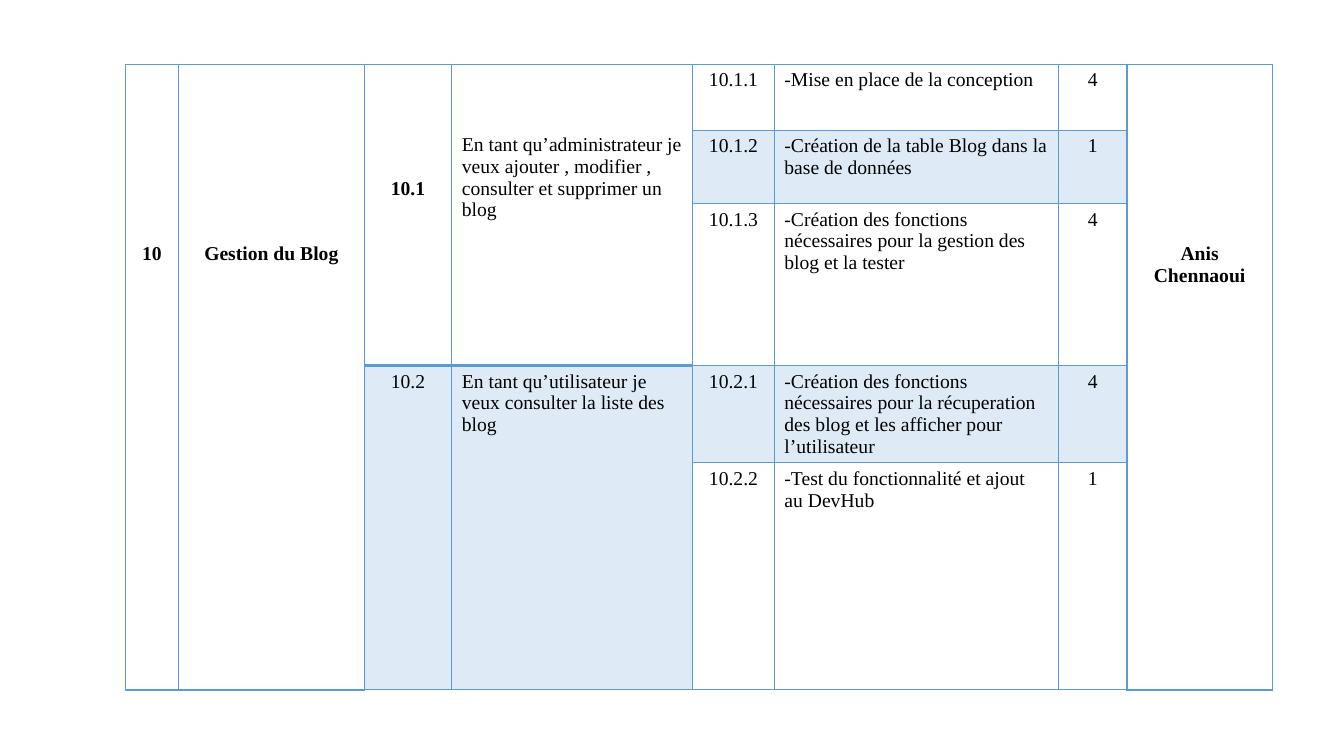
from dataclasses import dataclass

from pptx import Presentation
from pptx import util as u
from pptx.dml.color import RGBColor
from pptx.enum import text
from pptx.oxml import parse_xml
from pptx.oxml.ns import nsdecls


@dataclass(frozen=True)
class Theme:
    """Colours, type and line sizes of the slide."""
    ink: str = "000000"
    line: str = "5B9BD5"
    band: str = "DEEBF7"
    paper: str = "FFFFFF"
    font: str = "Times New Roman"
    size: float = 14
    line_height: float = 15.5
    thin: float = 1
    thick: float = 2


THEME = Theme()
BOX = (89.5, 46, 820, 446.5)
COLUMNS = [38.16, 132.48, 62.64, 172.08, 58.32, 203.04, 48.96, 103.68]
ROWS = [47, 52.5, 115.5, 69.5, 162]
LEFT_ALIGNED = (3, 5)
MARGIN = 3.6

STORIES = [
    dict(row=0, column=0, rows=5, words="10", lead=8, bold=True, thick="B"),
    dict(row=0, column=1, rows=5, words="Gestion du Blog", lead=8, bold=True, thick="B"),
    dict(row=0, column=2, rows=3, words="10.1", lead=5, bold=True, thick="B"),
    dict(row=0, column=3, rows=3, lead=3, thick="B",
         words="En tant qu’administrateur je veux ajouter , modifier , consulter et supprimer un blog"),
    dict(row=0, column=7, rows=5, words="Anis Chennaoui", lead=8, bold=True, thick="B"),
    dict(row=3, column=2, rows=2, words="10.2", thick="T"),
    dict(row=3, column=3, rows=2, thick="T",
         words="En tant qu’utilisateur je veux consulter la liste des blog"),
]
TASKS = [
    ("10.1.1", "-Mise en place de la conception", "4"),
    ("10.1.2", "-Création de la table Blog dans la base de données", "1"),
    ("10.1.3", "-Création des fonctions nécessaires pour la gestion des blog et la tester", "4"),
    ("10.2.1", "-Création des fonctions nécessaires pour la récuperation des blog "
               "et les afficher pour l’utilisateur", "4"),
    ("10.2.2", "-Test du fonctionnalité et ajout au DevHub", "1"),
]


def set_all(target, values):
    """Set each named attribute of the target."""
    for name, value in values.items():
        setattr(target, name, value)


def draw_borders(cell, thick):
    """Line the four edges of a cell, the edges named in thick more heavily."""
    properties = cell._tc.get_or_add_tcPr()
    for place, edge in enumerate("LRTB"):
        weight = THEME.thick if edge in thick else THEME.thin
        properties.insert(place, parse_xml(
            f'<a:ln{edge} {nsdecls("a")} w="{u.Pt(weight)}"><a:solidFill>'
            f'<a:srgbClr val="{THEME.line}"/></a:solidFill></a:ln{edge}>'))


def fill_cell(table, row, column, words, rows=1, lead=0, bold=False, thick=""):
    """Write one cell, merged over its rows, its text lowered by lead lines."""
    cell = table.cell(row, column)
    if rows > 1:
        cell.merge(table.cell(row + rows - 1, column))
    banded = row % 2 == 1
    for step in range(rows):
        part = table.cell(row + step, column)
        part.fill.solid()
        part.fill.fore_color.rgb = RGBColor.from_string(THEME.band if banded else THEME.paper)
        draw_borders(part, thick)
    set_all(cell, dict(margin_top=u.Pt(MARGIN + lead * THEME.line_height),
                       margin_bottom=u.Pt(MARGIN),
                       vertical_anchor=text.MSO_ANCHOR.TOP))
    para = cell.text_frame.paragraphs[0]
    para.alignment = text.PP_ALIGN.LEFT if column in LEFT_ALIGNED else text.PP_ALIGN.CENTER
    span = para.add_run()
    span.text = words
    set_all(span.font, dict(name=THEME.font, size=u.Pt(THEME.size), bold=bold))
    span.font.color.rgb = RGBColor.from_string(THEME.ink)


def add_backlog(page, box):
    """Place the backlog table in the given box."""
    frame = page.shapes.add_table(len(ROWS), len(COLUMNS), *map(u.Pt, box))
    table = frame.table
    set_all(table, dict(first_row=False, horz_banding=False))
    for column, width in zip(table.columns, COLUMNS):
        column.width = u.Pt(width)
    for row, height in zip(table.rows, ROWS):
        row.height = u.Pt(height)
    for story in STORIES:
        fill_cell(table, **story)
    for row, task in enumerate(TASKS):
        for column, words in enumerate(task, start=4):
            fill_cell(table, row, column, words)


def main():
    """Build the deck and save it."""
    deck = Presentation()
    set_all(deck, dict(slide_width=u.Pt(960), slide_height=u.Pt(540)))
    page = deck.slides.add_slide(deck.slide_layouts.get_by_name("Blank"))
    add_backlog(page, BOX)
    deck.save("out.pptx")


if __name__ == "__main__":
    main()
